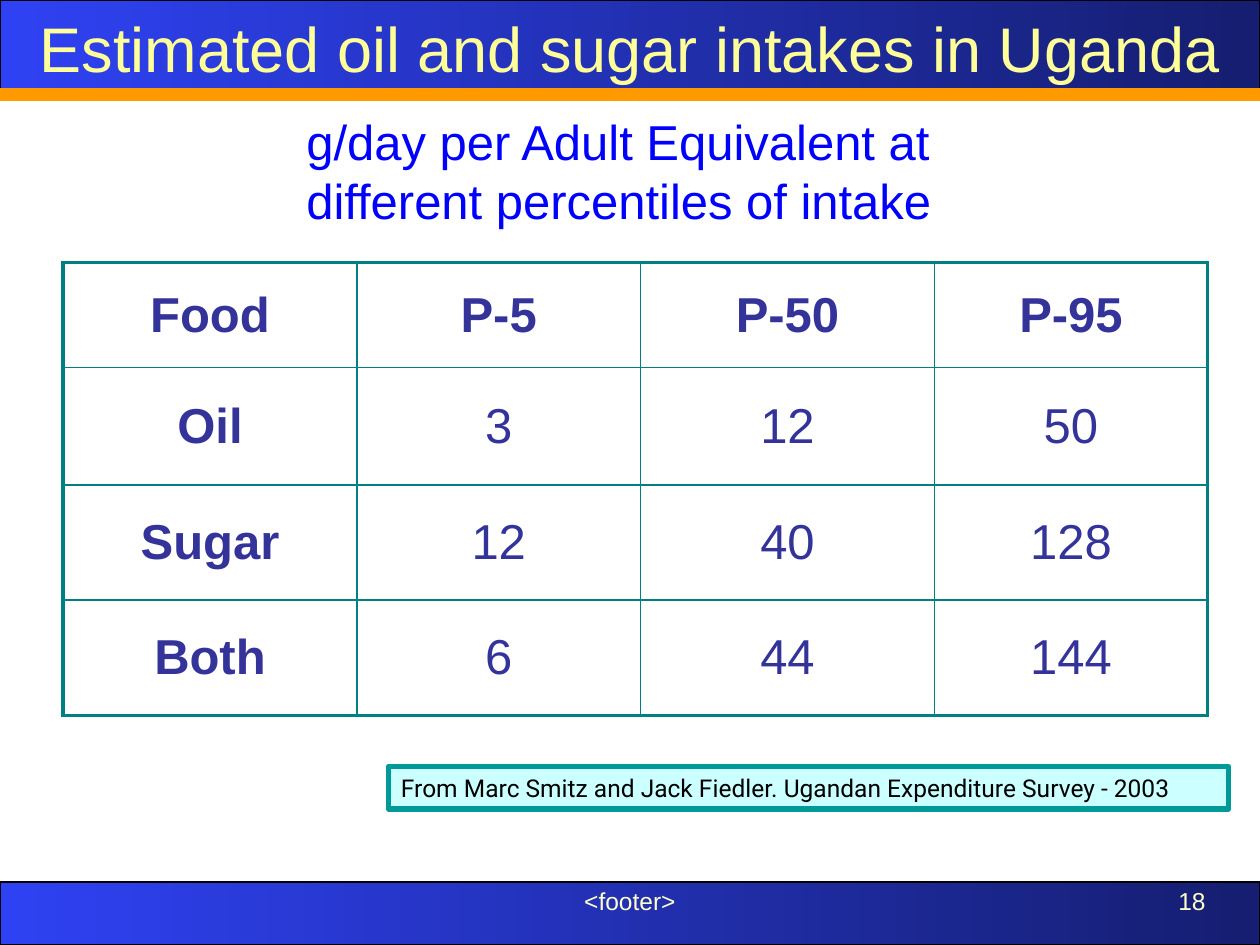
from lxml import etree
from pptx import Presentation
from pptx.dml.color import RGBColor
from pptx.enum.shapes import MSO_CONNECTOR, MSO_SHAPE
from pptx.enum.text import MSO_ANCHOR, PP_ALIGN
from pptx.oxml.ns import qn
from pptx.util import Pt

RECTANGLE = MSO_SHAPE.RECTANGLE
STRAIGHT = MSO_CONNECTOR.STRAIGHT
LEFT, CENTER, RIGHT = PP_ALIGN.LEFT, PP_ALIGN.CENTER, PP_ALIGN.RIGHT
TOP, MIDDLE = MSO_ANCHOR.TOP, MSO_ANCHOR.MIDDLE

COLORS = {
    "band_dark": "151E70",
    "band_light": "2F42F3",
    "band_line": "000000",
    "title": "FFFF99",
    "rule": "FF9900",
    "footer": "FFFFCC",
    "subtitle": "0000FF",
    "table_text": "333399",
    "table_line": "008080",
    "source_fill": "CCFFFF",
    "source_line": "009999",
    "source_text": "000000",
}
SLIDE_WIDTH, SLIDE_HEIGHT = 720, 540
HEADER_HEIGHT, FOOTER_HEIGHT = 54, 36
OUTER_BORDER, INNER_BORDER = 2.21, 1.08
COLUMN_WIDTHS = [168, 162, 168, 156]
ROW_HEIGHTS = [60, 67, 66, 66]
INTAKES = [
    ["Food", "P-5", "P-50", "P-95"],
    ["Oil", "3", "12", "50"],
    ["Sugar", "12", "40", "128"],
    ["Both", "6", "44", "144"],
]


def rgb(name):
    return RGBColor.from_string(COLORS[name])


def box(left, top, width, height):
    return Pt(left), Pt(top), Pt(width), Pt(height)


def write_text(frame, text, size, color, align=LEFT, font="Arial", bold=False):
    frame.word_wrap = True
    paragraph = frame.paragraphs[0]
    paragraph.alignment = align
    run = paragraph.add_run()
    run.text = text
    run.font.name = font
    run.font.size = Pt(size)
    run.font.bold = bold
    run.font.color.rgb = rgb(color)


def add_band(slide, top, height):
    band = slide.shapes.add_shape(RECTANGLE, *box(0, top, SLIDE_WIDTH, height))
    band.shadow.inherit = False
    band.fill.gradient()
    band.fill.gradient_angle = 180
    for stop, name in zip(band.fill.gradient_stops, ("band_dark", "band_light")):
        stop.color.rgb = rgb(name)
    band.line.color.rgb = rgb("band_line")
    band.line.width = Pt(0.75)
    return band


def add_title(slide, band, text):
    title = slide.shapes.title
    title.left, title.top, title.width, title.height = box(
        0, 0, SLIDE_WIDTH, HEADER_HEIGHT)
    title.text_frame.vertical_anchor = MIDDLE
    write_text(title.text_frame, text, 36, "title", CENTER)
    band.element.addnext(title.element)


def add_rule(slide, top):
    rule = slide.shapes.add_connector(STRAIGHT, 0, Pt(top), Pt(SLIDE_WIDTH), Pt(top))
    rule.line.color.rgb = rgb("rule")
    rule.line.width = Pt(8)
    etree.SubElement(rule.element.spPr, qn("a:effectLst"))


def add_text(slide, bounds, text, size, color, align=LEFT):
    text_box = slide.shapes.add_textbox(*box(*bounds))
    text_box.text_frame.vertical_anchor = TOP
    write_text(text_box.text_frame, text, size, color, align)


def set_borders(cell, widths):
    properties = cell._tc.get_or_add_tcPr()
    for index, (side, width) in enumerate(widths.items()):
        line = etree.Element(qn(f"a:{side}"), w=str(Pt(width)))
        fill = etree.SubElement(line, qn("a:solidFill"))
        etree.SubElement(fill, qn("a:srgbClr"), val=COLORS["table_line"])
        properties.insert(index, line)


def add_intake_table(slide, left, top):
    row_count, column_count = len(ROW_HEIGHTS), len(COLUMN_WIDTHS)
    table = slide.shapes.add_table(
        row_count, column_count,
        *box(left, top, sum(COLUMN_WIDTHS), sum(ROW_HEIGHTS))).table
    table.horz_banding = False
    for column, width in zip(table.columns, COLUMN_WIDTHS):
        column.width = Pt(width)
    for row, height in zip(table.rows, ROW_HEIGHTS):
        row.height = Pt(height)
    for r, values in enumerate(INTAKES):
        for c, value in enumerate(values):
            cell = table.cell(r, c)
            cell.fill.background()
            cell.vertical_anchor = MIDDLE
            write_text(cell.text_frame, value, 28, "table_text", CENTER,
                       bold=r == 0 or c == 0)
            outer_sides = {
                "lnL": c == 0,
                "lnR": c == column_count - 1,
                "lnT": r == 0,
                "lnB": r == row_count - 1,
            }
            set_borders(cell, {side: OUTER_BORDER if outer else INNER_BORDER
                               for side, outer in outer_sides.items()})


def add_source(slide, bounds, text):
    source = slide.shapes.add_shape(RECTANGLE, *box(*bounds))
    source.shadow.inherit = False
    source.fill.solid()
    source.fill.fore_color.rgb = rgb("source_fill")
    source.line.color.rgb = rgb("source_line")
    source.line.width = Pt(3)
    source.text_frame.vertical_anchor = TOP
    write_text(source.text_frame, text, 14, "source_text", font="Roboto")


def main():
    presentation = Presentation()
    presentation.slide_width = Pt(SLIDE_WIDTH)
    presentation.slide_height = Pt(SLIDE_HEIGHT)
    slide = presentation.slides.add_slide(presentation.slide_layouts[5])

    add_band(slide, SLIDE_HEIGHT - FOOTER_HEIGHT, FOOTER_HEIGHT)
    add_text(slide, (246, 502.5, 228, 37.5), "<footer>", 14, "footer", CENTER)
    add_text(slide, (528, 502.5, 168, 37.5), "18", 14, "footer", RIGHT)
    header = add_band(slide, 0, HEADER_HEIGHT)
    add_title(slide, header, "Estimated oil and sugar intakes in Uganda")
    add_rule(slide, HEADER_HEIGHT)
    add_intake_table(slide, 36, 150)
    add_text(slide, (168, 60, 438, 75),
             "g/day per Adult Equivalent at different percentiles of intake",
             28, "subtitle")
    add_source(slide, (222, 438, 480, 24.25),
               "From Marc Smitz and Jack Fiedler. Ugandan Expenditure Survey - 2003")
    presentation.save("out.pptx")


if __name__ == "__main__":
    main()
